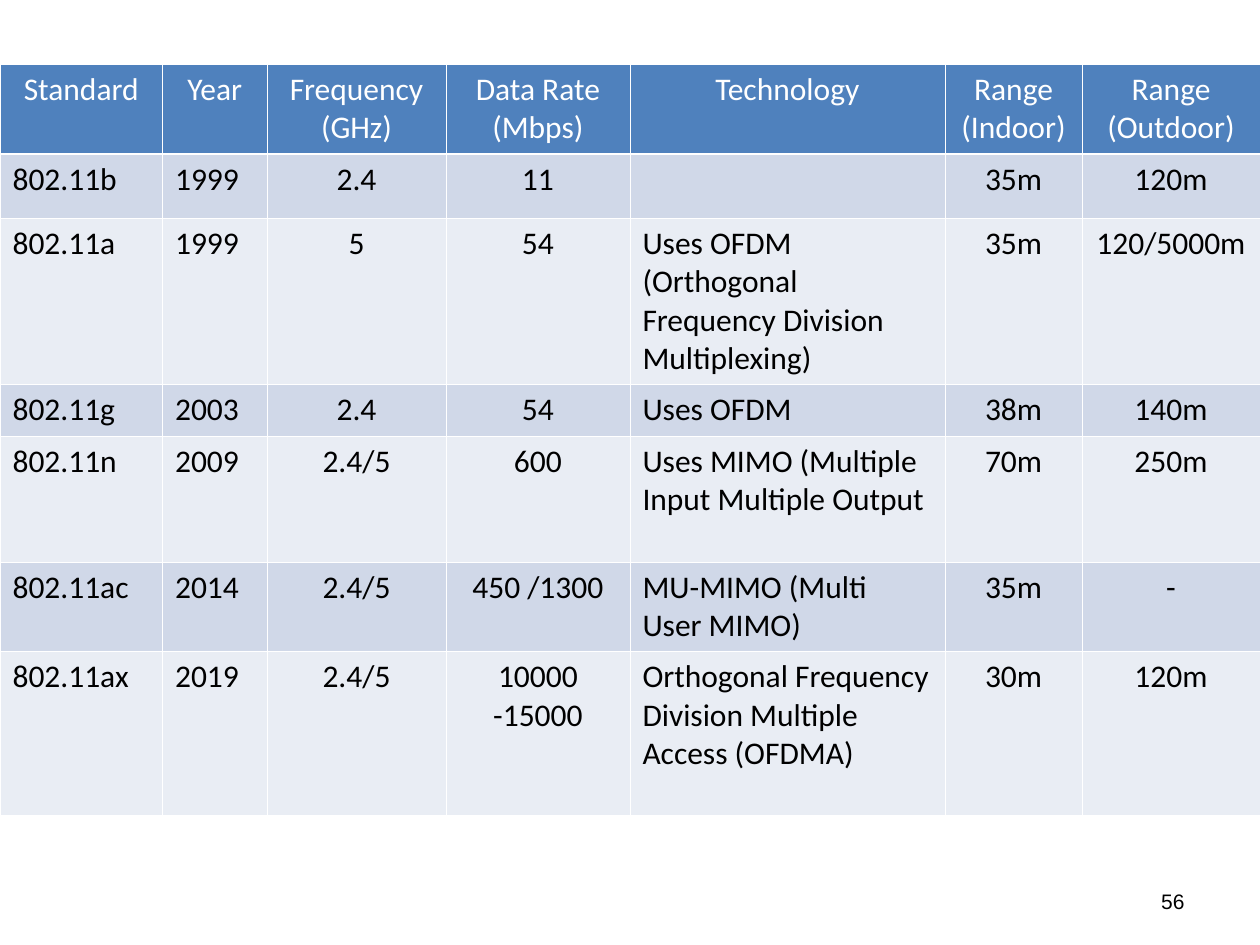
import lxml.etree
import pptx
import pptx.dml.color
import pptx.enum.text
import pptx.oxml.ns
import pptx.util

Inches = pptx.util.Inches
ALIGN = pptx.enum.text.PP_ALIGN
COLUMN_WIDTHS = [1.29, 0.83, 1.42, 1.46, 2.5, 1.09, 1.41]
ROW_HEIGHTS = [0.7, 0.51, 1.3, 0.41, 1, 0.7, 1.3]
LEFT_COLUMNS = {0, 1, 4}
HEADER_FILL = "4F81BD"
BAND_FILLS = ["E9EDF4", "D0D8E8"]
STANDARDS = [
    ["Standard", "Year", "Frequency (GHz)", "Data Rate (Mbps)", "Technology",
     "Range (Indoor)", "Range (Outdoor)"],
    ["802.11b", "1999", "2.4", "11", "", "35m", "120m"],
    ["802.11a", "1999", "5", "54",
     "Uses OFDM (Orthogonal Frequency Division Multiplexing)", "35m", "120/5000m"],
    ["802.11g", "2003", "2.4", "54", "Uses OFDM", "38m", "140m"],
    ["802.11n", "2009", "2.4/5", "600",
     "Uses MIMO (Multiple Input Multiple Output", "70m", "250m"],
    ["802.11ac", "2014", "2.4/5", "450 /1300", "MU-MIMO (Multi User MIMO)", "35m", "-"],
    ["802.11ax", "2019", "2.4/5", "10000 -15000",
     "Orthogonal Frequency Division Multiple Access (OFDMA)", "30m", "120m"],
]


def color(value):
    """Turn a hex string into a colour."""
    return pptx.dml.color.RGBColor.from_string(value)


def write_text(frame, text, align, font_name, size, text_color):
    """Put one styled paragraph into a text frame."""
    para = frame.paragraphs[0]
    para.text = text
    para.alignment = align
    para.font.name = font_name
    para.font.size = pptx.util.Pt(size)
    para.font.bold = False
    para.font.color.rgb = color(text_color)


def add_borders(cell, widths):
    """Draw white borders on a cell, with widths in points by side."""
    properties = cell._tc.get_or_add_tcPr()
    qn = pptx.oxml.ns.qn
    for side in "LRTB":
        line = lxml.etree.SubElement(properties, qn(f"a:ln{side}"),
                                     w=str(pptx.util.Pt(widths[side])))
        fill = lxml.etree.SubElement(line, qn("a:solidFill"))
        lxml.etree.SubElement(fill, qn("a:srgbClr"), val="FFFFFF")


def fill_cell(cell, row, column, text):
    """Style and write one cell by its place in the table."""
    header = row == 0
    widths = dict.fromkeys("LRTB", 0.45)
    if row < 2:
        widths["B" if header else "T"] = 1.47
    add_borders(cell, widths)
    cell.fill.solid()
    cell.fill.fore_color.rgb = color(HEADER_FILL if header else BAND_FILLS[row % 2])
    left = column in LEFT_COLUMNS and not header
    write_text(cell.text_frame, text, ALIGN.LEFT if left else ALIGN.CENTER,
               "Calibri", 18, "FFFFFF" if header else "000000")


def add_standards_table(page):
    """Add the table of wireless standards."""
    table = page.shapes.add_table(len(ROW_HEIGHTS), len(COLUMN_WIDTHS), Inches(0),
                                  Inches(0.51), Inches(10), Inches(5.92)).table
    for column, width in zip(table.columns, COLUMN_WIDTHS):
        column.width = Inches(width)
    for row, height in zip(table.rows, ROW_HEIGHTS):
        row.height = Inches(height)
    for row, texts in enumerate(STANDARDS):
        for column, text in enumerate(texts):
            fill_cell(table.cell(row, column), row, column, text)


def add_page_number(page, number):
    """Add the page number at the lower right."""
    box = page.shapes.add_textbox(Inches(7.17), Inches(6.95), Inches(2.33), Inches(0.4))
    frame = box.text_frame
    frame.word_wrap = True
    frame.vertical_anchor = pptx.enum.text.MSO_ANCHOR.MIDDLE
    write_text(frame, number, ALIGN.RIGHT, "Arial", 12, "000000")


def main():
    """Build and save the deck."""
    deck = pptx.Presentation()
    deck.slide_width = Inches(10)
    deck.slide_height = Inches(7.5)
    page = deck.slides.add_slide(deck.slide_layouts[6])
    add_standards_table(page)
    add_page_number(page, "56")
    deck.save("out.pptx")


if __name__ == "__main__":
    main()
